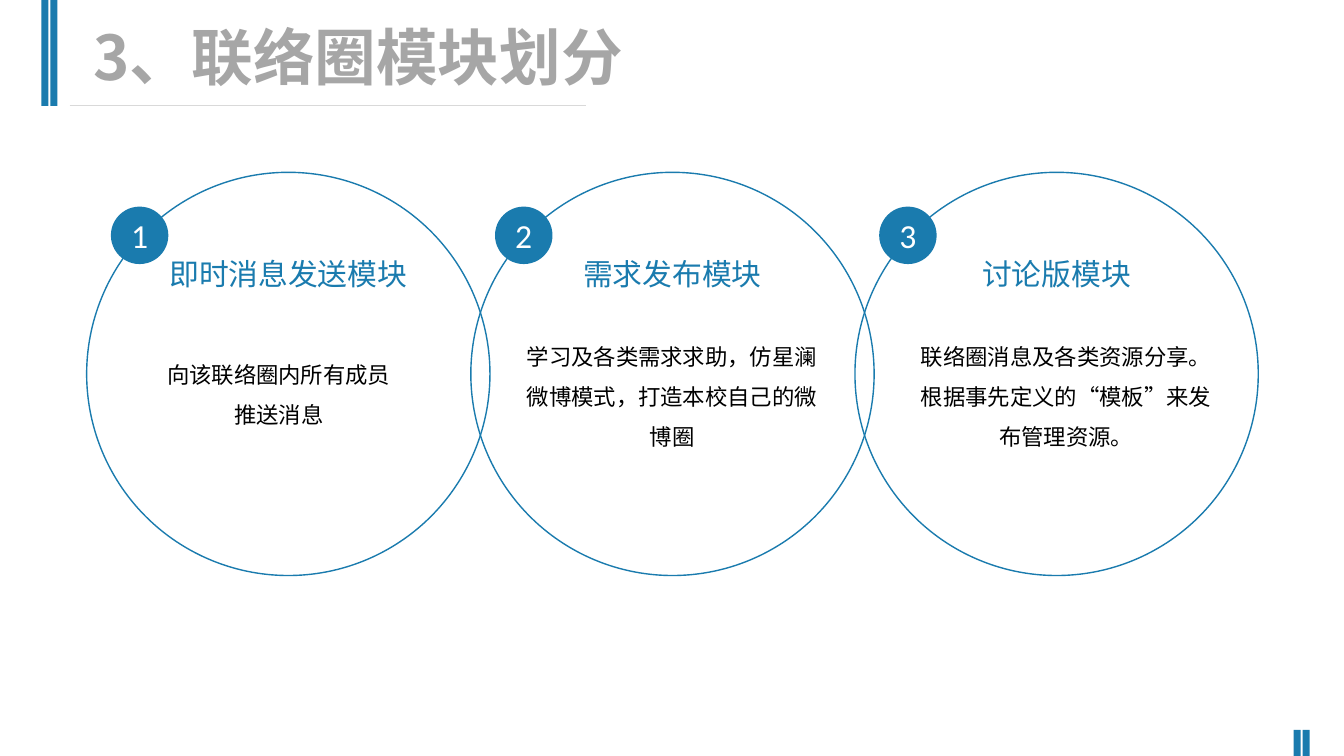
from dataclasses import dataclass

from lxml import etree
from pptx import Presentation, util as u
from pptx.dml import color
from pptx.enum import shapes, text
from pptx.oxml import ns

BLUE, GREY, PALE, BLACK, WHITE = "1A7BAE", "A6A6A6", "D9D9D9", "000000", "FFFFFF"
HAN, NUM = "Noto Sans CJK SC", "Calibri"
LEFT, TOP, SIZE, STEP = 0.86, 1.71, 4, 3.81
KIND = shapes.MSO_SHAPE


@dataclass
class Box:
    x: float
    y: float
    w: float
    h: float


@dataclass
class Style:
    size: float
    hue: str
    face: str = HAN
    bold: bool = False
    align: text.PP_ALIGN = text.PP_ALIGN.CENTER
    space: float = 1.0


@dataclass
class Module:
    head: str
    width: float
    body: str
    area: Box


HEAD = Style(21.3, BLUE)
BODY = Style(16, BLACK, space=1.5)
BADGE = Style(24, WHITE, NUM)
TITLE = Style(44, GREY, bold=True, align=text.PP_ALIGN.LEFT)

MODULES = [
    Module("即时消息发送模块", 2.6, "向该联络圈内所有成员推送消息",
           Box(1.54, 3.4, 2.45, 0.91)),
    Module("需求发布模块", 2.07,
           "学习及各类需求求助，仿星澜微博模式，打造本校自己的微博圈",
           Box(5.09, 3.22, 3.15, 1.27)),
    Module("讨论版模块", 1.7,
           "联络圈消息及各类资源分享。根据事先定义的“模板”来发布管理资源。",
           Box(9, 3.22, 3.15, 1.27)),
]
BARS = [Box(0.41, 0, 0.07, 1.05), Box(0.5, 0, 0.07, 1.05),
        Box(12.83, 7.24, 0.07, 0.26), Box(12.92, 7.24, 0.07, 0.26)]


def rgb(code: str) -> color.RGBColor:
    return color.RGBColor.from_string(code)


def place(box: Box) -> list[u.Length]:
    return [u.Inches(n) for n in (box.x, box.y, box.w, box.h)]


def write(frame, words: str, style: Style) -> None:
    para = frame.paragraphs[0]
    para.alignment = style.align
    para.line_spacing = style.space
    run = para.add_run()
    run.text = words
    font = run.font
    font.size, font.bold, font.name = u.Pt(style.size), style.bold, style.face
    font.color.rgb = rgb(style.hue)
    # python-pptx sets only the Latin face; Chinese text reads the ea one
    east = etree.SubElement(run._r.get_or_add_rPr(), ns.qn("a:ea"))
    east.set("typeface", style.face)


def label(slide, box: Box, words: str, style: Style, wrap: bool = True) -> None:
    frame = slide.shapes.add_textbox(*place(box)).text_frame
    frame.word_wrap = wrap
    frame.auto_size = text.MSO_AUTO_SIZE.SHAPE_TO_FIT_TEXT
    write(frame, words, style)


def solid(slide, kind: shapes.MSO_SHAPE, box: Box):
    shape = slide.shapes.add_shape(kind, *place(box))
    shape.shadow.inherit = False
    shape.fill.solid()
    shape.fill.fore_color.rgb = rgb(BLUE)
    shape.line.fill.background()
    return shape


def ring(slide, box: Box) -> None:
    shape = slide.shapes.add_shape(KIND.OVAL, *place(box))
    shape.shadow.inherit = False
    shape.fill.background()
    shape.line.color.rgb = rgb(BLUE)
    shape.line.width = u.Pt(1)


def badge(slide, box: Box, words: str) -> None:
    frame = solid(slide, KIND.OVAL, box).text_frame
    frame.margin_left = frame.margin_right = 0
    frame.margin_top = frame.margin_bottom = 0
    frame.vertical_anchor = text.MSO_ANCHOR.MIDDLE
    write(frame, words, BADGE)


def rule(slide, x: float, y: float, end: float) -> None:
    """Draw the thin line under the title."""
    line = slide.shapes.add_connector(
        shapes.MSO_CONNECTOR.STRAIGHT,
        u.Inches(x), u.Inches(y), u.Inches(end), u.Inches(y))
    line.line.color.rgb = rgb(PALE)
    line.line.width = u.Pt(0.5)
    etree.SubElement(line._element.spPr, ns.qn("a:effectLst"))


def main() -> None:
    deck = Presentation()
    deck.slide_width, deck.slide_height = u.Inches(13.33), u.Inches(7.5)
    slide = deck.slides.add_slide(deck.slide_layouts[6])

    for bar in BARS:
        solid(slide, KIND.RECTANGLE, bar)
    label(slide, Box(0.69, 0.14, 6.29, 0.84), " 3、联络圈模块划分", TITLE)
    rule(slide, 0.69, 1.05, 5.81)

    for i, part in enumerate(MODULES):
        x = LEFT + i * STEP
        mid = x + SIZE / 2
        ring(slide, Box(x, TOP, SIZE, SIZE))
        label(slide, part.area, part.body, BODY)
        label(slide, Box(mid - part.width / 2, 2.49, part.width, 0.46),
              part.head, HEAD, wrap=False)
        badge(slide, Box(x + 0.24, 2.05, 0.57, 0.57), str(i + 1))

    deck.save("out.pptx")


if __name__ == "__main__":
    main()
